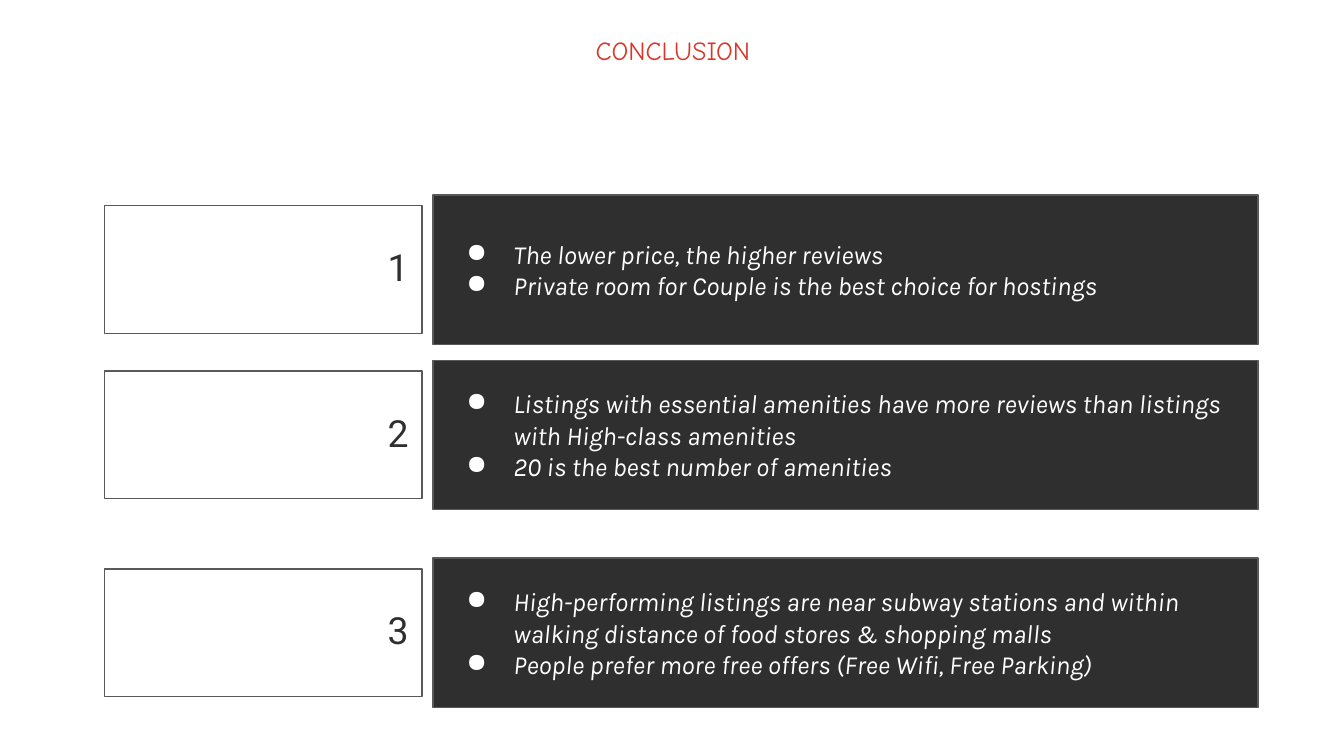
from lxml.etree import SubElement as Sub
from pptx import Presentation
from pptx.dml.color import RGBColor
from pptx.enum.shapes import MSO_SHAPE as Shape
from pptx.enum.text import MSO_ANCHOR as Anchor, PP_ALIGN as Align
from pptx.oxml.ns import qn
from pptx.util import Pt

DARK, WHITE, GREY, RED = "2F2F2F", "FFFFFF", "595959", "D83829"
NUM_H, TEXT_H = 68.5, 80
ROWS = [
    (104.5, ["The lower price, the higher reviews",
             "Private room for Couple is the best choice for hostings"]),
    (193, ["Listings with essential amenities have more reviews than "
           "listings with High-class amenities",
           "20 is the best number of amenities"]),
    (299, ["High-performing listings are near subway stations and within "
           "walking distance of food stores & shopping malls",
           "People prefer more free offers (Free Wifi, Free Parking)"]),
]


def color(code):
    return RGBColor.from_string(code)


def add_run(para, text, face, size, code, italic=False):
    run = para.add_run()
    run.text = text
    font = run.font
    font.name, font.size, font.italic = face, Pt(size), italic
    font.color.rgb = color(code)
    return run


def add_fill(parent, code):
    fill = Sub(parent, qn("a:solidFill"))
    Sub(fill, qn("a:srgbClr"), val=code)


def add_edge(run, code, width):
    """Outline the letters of a run."""
    line = run.font._element.makeelement(qn("a:ln"), {"w": str(Pt(width))})
    add_fill(line, code)
    run.font._element.insert(0, line)


def add_bullet(para, code):
    props = para._p.get_or_add_pPr()
    props.set("marL", str(Pt(36)))
    props.set("indent", str(Pt(-25.2)))
    tint = Sub(props, qn("a:buClr"))
    Sub(tint, qn("a:srgbClr"), val=code)
    Sub(props, qn("a:buChar"), char="●")


def add_box(group, left, top, width, height, fill=None):
    box = group.shapes.add_shape(
        Shape.RECTANGLE, Pt(left), Pt(top), Pt(width), Pt(height))
    box.shadow.inherit = False
    if fill:
        box.fill.solid()
        box.fill.fore_color.rgb = color(fill)
    else:
        box.fill.background()
    box.line.color.rgb = color(GREY)
    box.line.width = Pt(0.75)
    frame = box.text_frame
    frame.word_wrap = True
    frame.vertical_anchor = Anchor.MIDDLE
    return frame


def add_title(slide, text):
    box = slide.shapes.add_textbox(Pt(93), Pt(15), Pt(535), Pt(63.5))
    box.text_frame.word_wrap = True
    para = box.text_frame.paragraphs[0]
    para.alignment = Align.CENTER
    run = add_run(para, text, "Comic Neue", 14, RED)
    add_edge(run, WHITE, 0.75)


def add_row(slide, num, top, points):
    group = slide.shapes.add_group_shape()
    inset = (TEXT_H - NUM_H) / 2
    para = add_box(group, 56, top + inset, 170, NUM_H).paragraphs[0]
    para.alignment = Align.RIGHT
    para.line_spacing = 0.9
    add_run(para, str(num), "Roboto", 20, DARK)

    frame = add_box(group, 232, top, 442, TEXT_H, DARK)
    for i, point in enumerate(points):
        para = frame.add_paragraph() if i else frame.paragraphs[0]
        para.alignment = Align.LEFT
        add_bullet(para, WHITE)
        add_run(para, point, "Karla", 14, WHITE, italic=True)


def main():
    deck = Presentation()
    deck.slide_width, deck.slide_height = Pt(720), Pt(405)
    slide = deck.slides.add_slide(deck.slide_layouts[6])
    add_title(slide, "CONCLUSION")
    for num, (top, points) in enumerate(ROWS, 1):
        add_row(slide, num, top, points)
    deck.save("out.pptx")


if __name__ == "__main__":
    main()
